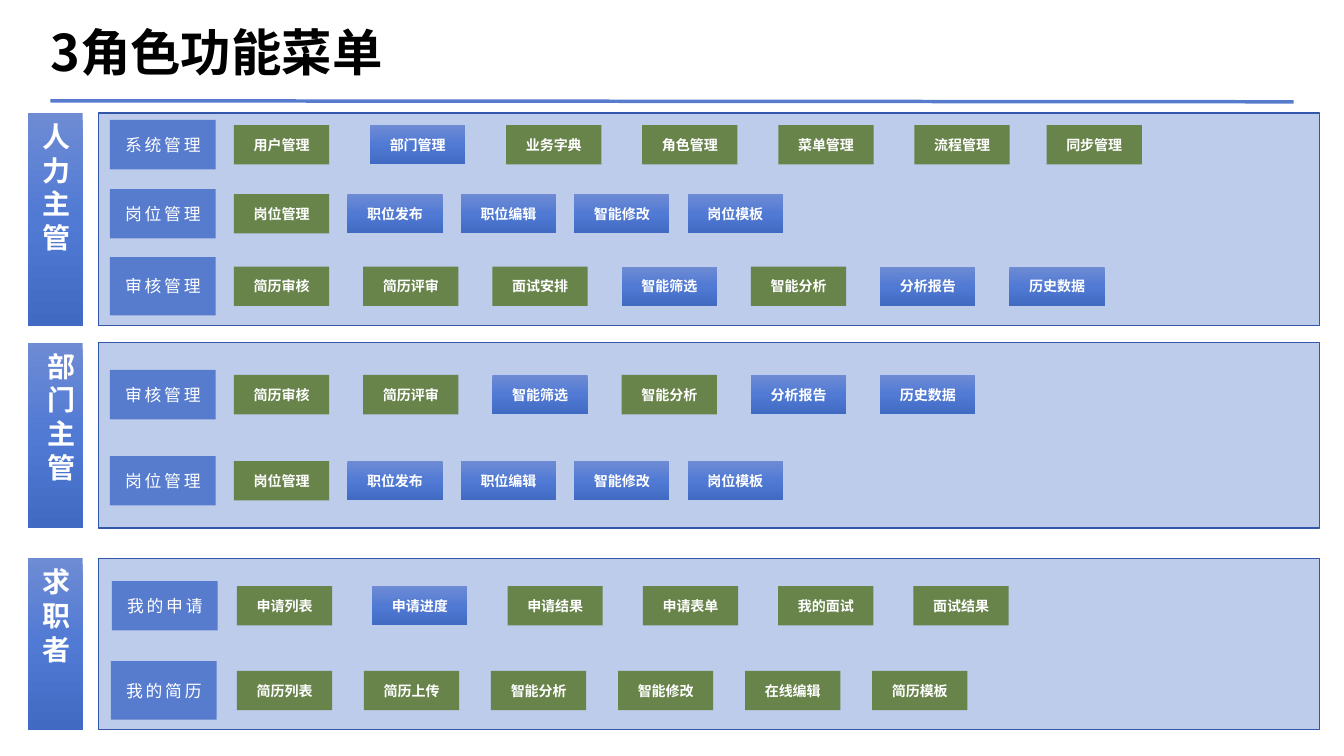
import copy
import pptx
import pptx.util
import pptx.dml.color
import pptx.enum.shapes
import pptx.enum.text
import pptx.oxml.ns

WIDE, HIGH = 13.33, 7.5
TITLE = "3角色功能菜单"
POSTS = ("岗位管理", "职位发布", "职位编辑", "智能修改", "岗位模板")

# role, top, height, anchor, rows
# row: label, label left, label height, middle, first button, step, colours, buttons
ROLES = [
    ("人力主管", 1.12, 2.11, "MIDDLE", [
        ("系统管理", 1.09, 0.49, 1.435, 2.32, 1.35, "gbgggg",
         ("用户管理", "部门管理", "业务字典", "角色管理", "菜单管理", "流程管理")),
        ("岗位管理", 1.09, 0.49, 2.12, 2.32, 1.125, "gbbbb", POSTS),
        ("审核管理", 1.09, 0.58, 2.84, 2.32, 1.282, "gggbgbb",
         ("简历审核", "简历评审", "面试安排", "智能筛选", "智能分析", "分析报告", "历史数据")),
    ]),
    ("部门主管", 3.4, 1.84, "TOP", [
        ("审核管理", 1.09, 0.49, 3.915, 2.32, 1.282, "ggbgbb",
         ("简历审核", "简历评审", "智能筛选", "智能分析", "分析报告", "历史数据")),
        ("岗位管理", 1.09, 0.49, 4.77, 2.32, 1.125, "gbbbb", POSTS),
    ]),
    ("求职者", 5.54, 1.7, "MIDDLE", [
        ("我的申请", 1.11, 0.49, 6.01, 2.35, 1.342, "gbgggg",
         ("申请列表", "申请进度", "申请结果", "申请表单", "我的面试", "面试结果")),
        ("我的简历", 1.1, 0.58, 6.85, 2.35, 1.26, "gggggg",
         ("简历列表", "简历上传", "智能分析", "智能修改", "在线编辑", "简历模板")),
    ]),
]
SYNC = ("同步管理", 10.38, 1.435)
FADE = ["6E8BD4", "517AD4", "416AC3"]
PAINT = {"g": "68844B", "b": FADE}
BLUE, EDGE = "577CCE", "3257AA"

inch, point = pptx.util.Inches, pptx.util.Pt
tag = pptx.oxml.ns.qn


def tint(code):
    return pptx.dml.color.RGBColor.from_string(code)


def blend(shape, codes):
    fill = shape.fill
    fill.gradient()
    fill.gradient_angle = 270
    stops = shape.element.spPr.find(".//" + tag("a:gsLst"))
    stops.insert(1, copy.deepcopy(stops[0]))
    for spot, (stop, code) in enumerate(zip(fill.gradient_stops, codes)):
        stop.position = spot / (len(codes) - 1)
        stop.color.rgb = tint(code)


def box(left, top, width, height, paint):
    shape = slide.shapes.add_shape(
        pptx.enum.shapes.MSO_SHAPE.RECTANGLE,
        inch(left), inch(top), inch(width), inch(height))
    shape.shadow.inherit = False
    shape.line.fill.background()
    if isinstance(paint, list):
        blend(shape, paint)
    else:
        shape.fill.solid()
        shape.fill.fore_color.rgb = tint(paint)
    return shape


def write(shape, text, size, bold=False, space=0, face="Arial", code="FFFFFF",
          align="CENTER", anchor="MIDDLE"):
    frame = shape.text_frame
    frame.word_wrap = True
    frame.vertical_anchor = pptx.enum.text.MSO_ANCHOR[anchor]
    para = frame.paragraphs[0]
    para.alignment = pptx.enum.text.PP_ALIGN[align]
    run = para.add_run()
    run.text = text
    font = para.font
    font.name, font.size, font.bold = face, point(size), bold
    font.color.rgb = tint(code)
    if space:
        run.font.language_id = None
        run.font._element.set("spc", str(space * 100))
    return frame


def panel(top, height):
    shape = box(0.98, top, 12.11, height, BLUE)
    color = shape.element.spPr.find(tag("a:solidFill"))[0]
    color.append(color.makeelement(tag("a:alpha"), {"val": "39000"}))
    shape.line.color.rgb = tint(EDGE)
    shape.line.width = point(1)


def button(text, left, mid, kind):
    write(box(left, mid - 0.195, 0.945, 0.39, PAINT[kind]), text, 10, True)


def role(text, top, height, anchor):
    shape = box(0.28, top, 0.54, height, FADE)
    frame = write(shape, text, 20, True, 4, anchor=anchor)
    frame.auto_size = pptx.enum.text.MSO_AUTO_SIZE.SHAPE_TO_FIT_TEXT
    shape.element.txBody.find(tag("a:bodyPr")).set("vert", "eaVert")


def row(label, left, height, mid, start, step, kinds, names):
    write(box(left, mid - height / 2, 1.05, height, BLUE), label, 12, space=2)
    for spot, (name, kind) in enumerate(zip(names, kinds)):
        button(name, start + spot * step, mid, kind)


def head():
    title = slide.shapes.title
    title.left, title.top = inch(0.5), inch(0.17)
    title.width, title.height = inch(12.33), inch(0.67)
    frame = write(title, TITLE, 36, True, face="Noto Sans CJK SC",
                  code="000000", align="LEFT")
    frame.auto_size = pptx.enum.text.MSO_AUTO_SIZE.NONE
    frame.margin_left = frame.margin_right = 0
    frame.margin_top = frame.margin_bottom = 0
    rule = slide.shapes.add_connector(
        pptx.enum.shapes.MSO_CONNECTOR.STRAIGHT,
        inch(0.5), inch(1), inch(12.83), inch(1.01))
    rule.line.color.rgb = tint(BLUE)
    rule.line.width = point(2.5)
    props = rule.element.spPr
    props.append(props.makeelement(tag("a:effectLst"), {}))


deck = pptx.Presentation()
deck.slide_width, deck.slide_height = inch(WIDE), inch(HIGH)
slide = deck.slides.add_slide(deck.slide_layouts[5])
head()
for name, top, height, anchor, rows in ROLES:
    panel(top, height)
    role(name, top, height, anchor)
    for item in rows:
        row(*item)
button(*SYNC, "g")
deck.save("out.pptx")
